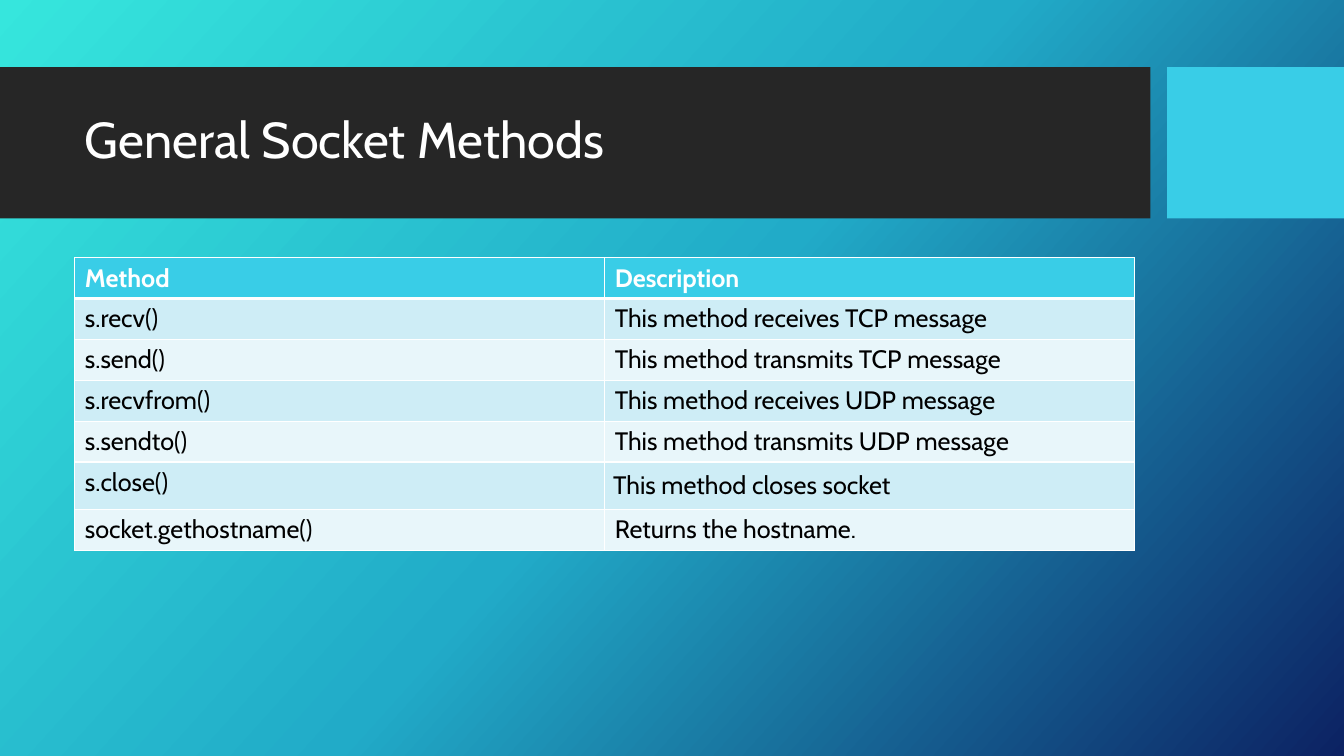
import copy

import pptx
import pptx.dml.color
import pptx.enum.shapes
import pptx.enum.text
import pptx.oxml
import pptx.oxml.ns
import pptx.util
from lxml import etree

Pt = pptx.util.Pt
RGBColor = pptx.dml.color.RGBColor
qn = pptx.oxml.ns.qn

WHITE = RGBColor(0xFF, 0xFF, 0xFF)
BLACK = RGBColor(0x00, 0x00, 0x00)
CHARCOAL = RGBColor(0x26, 0x26, 0x26)
CYAN = RGBColor(0x39, 0xCD, 0xE7)
BAND_DARK = RGBColor(0xCE, 0xED, 0xF6)
BAND_LIGHT = RGBColor(0xE8, 0xF6, 0xFA)
GRADIENT = [
    (0, RGBColor(0x36, 0xE6, 0xDD)),
    (0.5, RGBColor(0x21, 0xAB, 0xC8)),
    (1, RGBColor(0x0C, 0x22, 0x63)),
]

METHODS = [
    ("Method", "Description"),
    ("s.recv()", "This method receives TCP message"),
    ("s.send()", "This method transmits TCP message"),
    ("s.recvfrom()", "This method receives UDP message"),
    ("s.sendto()", "This method transmits UDP message"),
    ("s.close()", "This method closes socket"),
    ("socket.gethostname()", "Returns the hostname."),
]
CLOSE_ROW = 5


class SlideBuilder:
    font_name = "Cabin"
    title_size = Pt(36)
    table_size = Pt(18)

    def __init__(self, slide):
        self.slide = slide

    def format_runs(self, paragraph, size, color, bold=False):
        for run in paragraph.runs:
            run.font.name = self.font_name
            run.font.size = size
            run.font.bold = bold
            run.font.color.rgb = color

    def background(self, stops, angle):
        fill = self.slide.background.fill
        fill.gradient()
        fill.gradient_angle = angle
        stop_list = self.slide.element.find(".//" + qn("a:gsLst"))
        stop_list.insert(1, copy.deepcopy(stop_list[0]))
        for stop, (position, color) in zip(fill.gradient_stops, stops):
            stop.position = position
            stop.color.rgb = color

    def bar(self, left, top, width, height, color):
        shape = self.slide.shapes.add_shape(
            pptx.enum.shapes.MSO_SHAPE.RECTANGLE, left, top, width, height)
        shape.shadow.inherit = False
        shape.fill.solid()
        shape.fill.fore_color.rgb = color
        shape.line.fill.background()

    def title(self, text, left, top, width, height):
        shape = self.slide.shapes.title
        shape.left, shape.top, shape.width, shape.height = left, top, width, height
        # Bring the title in front of the bars
        shape.element.getparent().append(shape.element)
        shape.text_frame.text = text
        shape.text_frame.word_wrap = True
        shape.text_frame.vertical_anchor = pptx.enum.text.MSO_ANCHOR.MIDDLE
        paragraph = shape.text_frame.paragraphs[0]
        paragraph.alignment = pptx.enum.text.PP_ALIGN.LEFT
        paragraph.line_spacing = 0.9
        self.format_runs(paragraph, self.title_size, WHITE)

    def border(self, cell, side, width):
        properties = cell._tc.get_or_add_tcPr()
        line = etree.SubElement(properties, qn("a:ln" + side), w=str(width))
        fill = etree.SubElement(line, qn("a:solidFill"))
        etree.SubElement(fill, qn("a:srgbClr"), val=str(WHITE))

    def table(self, rows, left, top, width, row_height):
        columns = len(rows[0])
        table = self.slide.shapes.add_table(
            len(rows), columns, left, top, width, row_height * len(rows)).table
        for row_index, row in enumerate(rows):
            header = row_index == 0
            if header:
                color = CYAN
            else:
                color = BAND_DARK if row_index % 2 else BAND_LIGHT
            for column_index, text in enumerate(row):
                cell = table.cell(row_index, column_index)
                cell.text_frame.text = text
                self.format_runs(cell.text_frame.paragraphs[0], self.table_size,
                                 WHITE if header else BLACK, header)
                # A thick line parts the header from the body
                for side in "LRTB":
                    thick = (row_index, side) in ((0, "B"), (1, "T"))
                    self.border(cell, side, Pt(3 if thick else 1))
                cell.fill.solid()
                cell.fill.fore_color.rgb = color
        return table


presentation = pptx.Presentation()
presentation.slide_width = Pt(960)
presentation.slide_height = Pt(540)
builder = SlideBuilder(
    presentation.slides.add_slide(presentation.slide_layouts[5]))

# Background and title band
builder.background(GRADIENT, 360 - 42)
builder.bar(Pt(0), Pt(48), Pt(821.7), Pt(108), CHARCOAL)
builder.bar(Pt(833.7), Pt(48), Pt(126.3), Pt(108), CYAN)
builder.title("General Socket Methods", Pt(53.5), Pt(59), Pt(757), Pt(85))

# Method table, with a roomier description for s.close()
methods_table = builder.table(METHODS, Pt(53.5), Pt(184), Pt(757), Pt(29.2))
methods_table.rows[CLOSE_ROW].height = Pt(33.8)
close_cell = methods_table.cell(CLOSE_ROW, 1)
close_cell.margin_left = close_cell.margin_right = Pt(6)
close_cell.margin_top = close_cell.margin_bottom = Pt(6)

presentation.save("out.pptx")
